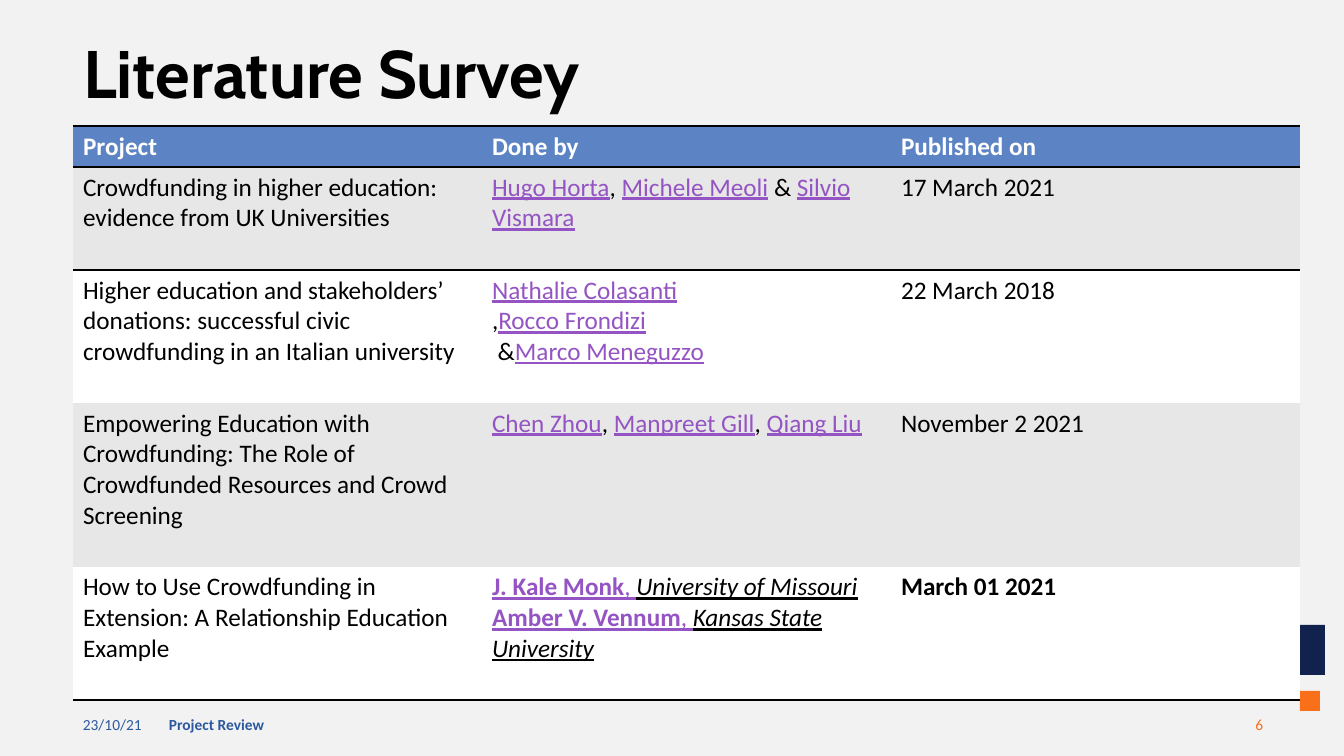
from pptx import Presentation
from pptx.dml.color import RGBColor
from pptx.enum.shapes import MSO_SHAPE
from pptx.enum.text import MSO_ANCHOR, PP_ALIGN
from pptx.oxml import parse_xml
from pptx.oxml.ns import nsdecls, qn
from pptx.util import Pt

SCALE = 914400 / 100.8
HUES = {
    "back": "F2F2F2", "ink": "000000", "white": "FFFFFF", "head": "5C83C4",
    "band": "E7E7E7", "link": "9454C3", "blue": "2C599D", "navy": "11224E",
    "orange": "FA6F1A",
}
NO_GRID = "{2D5ABB26-0587-4C30-8999-92F81FD0307C}"
BODY = {"name": "Calibri", "size": Pt(18), "bold": False}
PLAIN = {**BODY, "hue": "ink"}
HEAD = {**BODY, "bold": True, "hue": "white"}
STRONG = {**PLAIN, "bold": True}
LINK = {**BODY, "hue": "link", "underline": True}
NAME = {**LINK, "bold": True}
PLACE = {**PLAIN, "italic": True, "underline": True}
TITLE = {"name": "Cabin", "size": Pt(48), "bold": True, "hue": "ink"}
NOTE = {"name": "Calibri", "size": Pt(11), "hue": "blue"}

COMMA, AND = (",\u00a0", PLAIN), ("\u00a0&\u00a0", PLAIN)
HEADS = ["Project", "Done by", "Published on"]
WORKS = [
    ("Crowdfunding in higher education: evidence from UK Universities",
     [[("Hugo Horta", LINK), COMMA, ("Michele Meoli", LINK), AND,
       ("Silvio Vismara", LINK)]],
     "17 March 2021", PLAIN),
    ("Higher education and stakeholders\u2019 donations: successful civic "
     "crowdfunding in an Italian university",
     [[("Nathalie Colasanti", LINK)],
      [(",", PLAIN), ("Rocco Frondizi", LINK)],
      [("\u00a0&", PLAIN), ("Marco Meneguzzo", LINK)]],
     "22 March 2018", PLAIN),
    ("Empowering Education with Crowdfunding: The Role of Crowdfunded "
     "Resources and Crowd Screening",
     [[("Chen Zhou", LINK), COMMA, ("Manpreet Gill", LINK), COMMA,
       ("Qiang Liu", LINK)]],
     "November 2 2021", PLAIN),
    ("How to Use Crowdfunding in Extension: A Relationship Education Example",
     [[("J. Kale Monk", NAME), (",\u00a0", LINK),
       ("University of Missouri", PLACE)],
      [("Amber V. Vennum", NAME), (",\u00a0", LINK),
       ("Kansas State University", PLACE)]],
     "March 01 2021", STRONG),
]
HEIGHTS = [41, 103, 133, 164, 133]


def px(n):
    return round(n * SCALE)


def tint(hue):
    return RGBColor.from_string(HUES[hue])


def paint(fill, hue):
    fill.solid()
    fill.fore_color.rgb = tint(hue)


def write(frame, paras):
    for n, runs in enumerate(paras):
        para = frame.add_paragraph() if n else frame.paragraphs[0]
        for text, style in runs:
            run = para.add_run()
            run.text = text
            for key, value in style.items():
                if key == "hue":
                    run.font.color.rgb = tint(value)
                else:
                    setattr(run.font, key, value)


def title(slide, box, text):
    shape = slide.shapes.title
    shape.left, shape.top, shape.width, shape.height = map(px, box)
    frame = shape.text_frame
    frame.vertical_anchor = MSO_ANCHOR.TOP
    write(frame, [[(text, TITLE)]])
    frame.paragraphs[0].alignment = PP_ALIGN.LEFT
    frame.paragraphs[0].line_spacing = 0.9


def rule(cell, side):
    cell._tc.get_or_add_tcPr().append(parse_xml(
        f'<a:{side} {nsdecls("a")} w="{Pt(2)}"><a:solidFill>'
        f'<a:srgbClr val="{HUES["ink"]}"/></a:solidFill></a:{side}>'))


def survey(slide, box):
    rows = [[[[(text, HEAD)]] for text in HEADS]]
    rows += [[[[(work, PLAIN)]], names, [[(date, style)]]]
             for work, names, date, style in WORKS]
    grid = slide.shapes.add_table(len(rows), len(HEADS), *map(px, box)).table
    grid._tbl.tblPr.find(qn("a:tableStyleId")).text = NO_GRID
    for col in grid.columns:
        col.width = px(box[2] / len(HEADS))
    for r, row in enumerate(rows):
        grid.rows[r].height = px(HEIGHTS[r])
        hue = "head" if r == 0 else "band" if r % 2 else "white"
        sides = {0: ["lnT", "lnB"], 1: ["lnT"], len(rows) - 1: ["lnB"]}
        for c, paras in enumerate(row):
            cell = grid.cell(r, c)
            for side in sides.get(r, []):
                rule(cell, side)
            paint(cell.fill, hue)
            write(cell.text_frame, paras)


def marks(slide, box):
    left, top, _, _ = box
    for x, y, size, hue in [(0, 0, 50, "navy"), (25, 66, 20, "orange")]:
        shape = slide.shapes.add_shape(
            MSO_SHAPE.RECTANGLE, *map(px, (left + x, top + y, size, size)))
        shape.shadow.inherit = False
        paint(shape.fill, hue)
        shape.line.fill.background()


def footer(slide, box):
    left, top, width, height = box
    notes = [
        (0, 87, "23/10/21", {}, PP_ALIGN.LEFT),
        (86, 454, "Project Review", {"bold": True}, PP_ALIGN.LEFT),
        (width - 302, 302, "6", {"hue": "orange"}, PP_ALIGN.RIGHT),
    ]
    for x, wide, text, extra, align in notes:
        note = slide.shapes.add_textbox(*map(px, (left + x, top, wide, height)))
        frame = note.text_frame
        frame.word_wrap = True
        frame.vertical_anchor = MSO_ANCHOR.MIDDLE
        write(frame, [[(text, {**NOTE, **extra})]])
        frame.paragraphs[0].alignment = align


def build():
    deck = Presentation()
    deck.slide_width, deck.slide_height = px(1344), px(756)
    slide = deck.slides.add_slide(deck.slide_layouts[5])
    paint(slide.background.fill, "back")
    marks(slide, (1275, 625, 50, 86))
    footer(slide, (73, 704, 1200, 40))
    title(slide, (73, 35, 606, 92), "Literature Survey")
    survey(slide, (73, 126, 1227, sum(HEIGHTS)))
    deck.save("out.pptx")


build()
